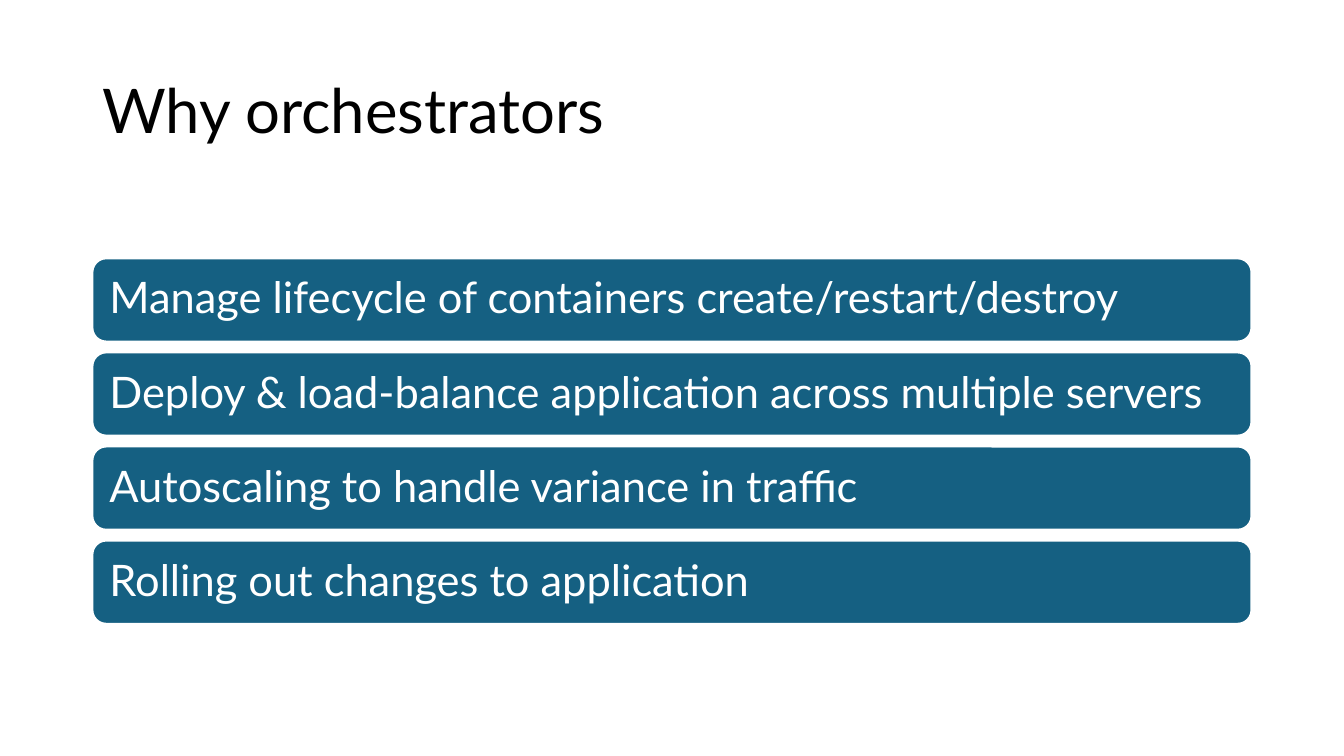
"""Build the slide on why orchestrators are used."""
import pptx
import pptx.dml.color
import pptx.enum.shapes
import pptx.enum.text
import pptx.util

Pt = pptx.util.Pt
BLACK = pptx.dml.color.RGBColor(0x00, 0x00, 0x00)
WHITE = pptx.dml.color.RGBColor(0xFF, 0xFF, 0xFF)
TEAL = pptx.dml.color.RGBColor(0x15, 0x60, 0x82)

FONT_NAME = "Lato"
LEFT, WIDTH = 66, 828
BAR_TOP, BAR_HEIGHT, BAR_PITCH = 184.5, 59.5, 67.2
REASONS = (
    "Manage lifecycle of containers create/restart/destroy",
    "Deploy & load-balance application across multiple servers",
    "Autoscaling to handle variance in traffic",
    "Rolling out changes to application",
)


def set_attributes(target, values):
    """Set each named attribute of the target."""
    for name, value in values.items():
        setattr(target, name, value)


def write_text(shape, text, size, color, inset):
    """Write one left-aligned, vertically centred paragraph in a shape."""
    frame = shape.text_frame
    set_attributes(frame, {
        "word_wrap": True,
        "vertical_anchor": pptx.enum.text.MSO_ANCHOR.MIDDLE,
        "margin_left": Pt(inset),
        "margin_right": Pt(inset),
        "margin_top": Pt(3.6),
        "margin_bottom": Pt(3.6),
    })
    paragraph = frame.paragraphs[0]
    set_attributes(paragraph, {
        "alignment": pptx.enum.text.PP_ALIGN.LEFT,
        "line_spacing": 0.9,
    })
    run = paragraph.add_run()
    run.text = text
    set_attributes(run.font, {"name": FONT_NAME, "size": Pt(size)})
    run.font.color.rgb = color


def add_title(slide, text):
    """Add the slide title."""
    shape = slide.shapes.add_textbox(Pt(LEFT), Pt(28.75), Pt(WIDTH), Pt(104.4))
    write_text(shape, text, 44, BLACK, 7.2)


def add_reason_bar(slide, text, top):
    """Add one rounded bar holding a reason."""
    shape = slide.shapes.add_shape(
        pptx.enum.shapes.MSO_SHAPE.ROUNDED_RECTANGLE,
        Pt(LEFT), Pt(top), Pt(WIDTH), Pt(BAR_HEIGHT))
    shape.shadow.inherit = False
    shape.fill.solid()
    shape.fill.fore_color.rgb = TEAL
    shape.line.color.rgb = WHITE
    shape.line.width = Pt(1.5)
    write_text(shape, text, 31, WHITE, 9.3)


def main():
    """Create the presentation and save it."""
    presentation = pptx.Presentation()
    set_attributes(presentation, {"slide_width": Pt(960), "slide_height": Pt(540)})
    slide = presentation.slides.add_slide(presentation.slide_layouts[6])
    add_title(slide, "Why orchestrators")
    for index, reason in enumerate(REASONS):
        add_reason_bar(slide, reason, BAR_TOP + index * BAR_PITCH)
    presentation.save("out.pptx")


if __name__ == "__main__":
    main()
